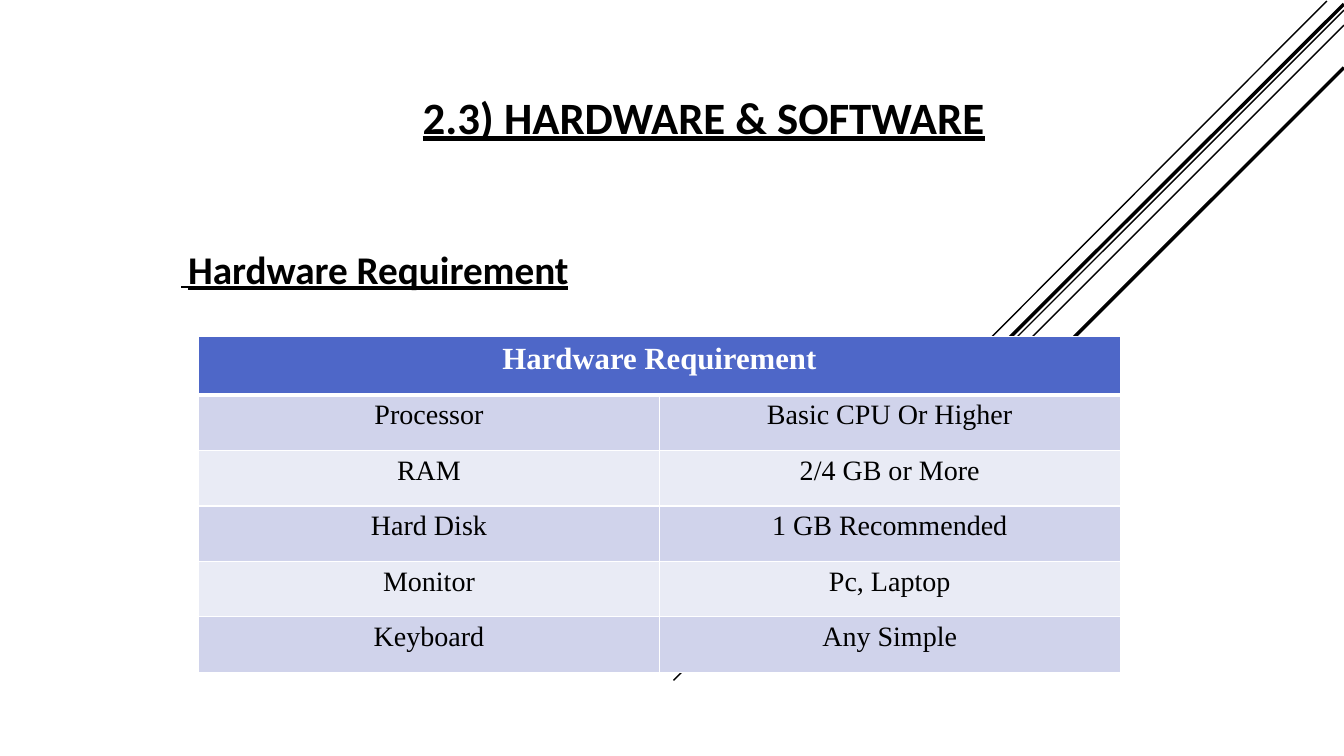
from typing import NamedTuple

from lxml.etree import SubElement
from pptx import Presentation
from pptx.dml.color import RGBColor
from pptx.enum.shapes import MSO_CONNECTOR
from pptx.enum.text import MSO_ANCHOR, MSO_AUTO_SIZE, PP_ALIGN
from pptx.oxml.ns import qn
from pptx.util import Inches, Pt

BLACK, WHITE = "000000", "FFFFFF"
HEADER_FILL = "4E67C8"
BAND_FILLS = ("D0D3EB", "E9EBF5")


class Stripe(NamedTuple):
    x1: float
    y1: float
    x2: float
    y2: float
    width: float


class Box(NamedTuple):
    left: float
    top: float
    width: float
    height: float


class TextStyle(NamedTuple):
    font: str
    size: float
    color: str = BLACK
    bold: bool = False
    underline: bool = False


STRIPES = [
    Stripe(13.16, 0.01, 9, 4.18, 1),
    Stripe(13.33, 0.1, 6.68, 6.75, 1),
    Stripe(13.33, 0.25, 7.91, 5.67, 1),
    Stripe(13.33, 0.04, 8.02, 5.34, 2.5),
    Stripe(13.33, 0.67, 8.58, 5.42, 2.5),
]
REQUIREMENTS = [
    ("Hardware Requirement", ""),
    ("Processor", "Basic CPU Or Higher"),
    ("RAM", "2/4 GB or More"),
    ("Hard Disk", "1 GB Recommended"),
    ("Monitor", "Pc, Laptop"),
    ("Keyboard", "Any Simple"),
]
HEADER_STYLE = TextStyle("Times New Roman", 22, WHITE, bold=True)
BODY_STYLE = TextStyle("Times New Roman", 20)


def rgb(color: str) -> RGBColor:
    return RGBColor.from_string(color)


def style_run(r, style: TextStyle) -> None:
    r.font.name = style.font
    r.font.size = Pt(style.size)
    r.font.bold = style.bold
    r.font.underline = style.underline
    r.font.color.rgb = rgb(style.color)


def draw_stripe(slide, stripe: Stripe) -> None:
    ends = [Inches(v) for v in stripe[:4]]
    line = slide.shapes.add_connector(MSO_CONNECTOR.STRAIGHT, *ends)
    line.line.color.rgb = rgb(BLACK)
    line.line.width = Pt(stripe.width)
    SubElement(line._element.spPr, qn("a:effectLst"))


def fill_placeholder(sp, box: Box, indent: float, align, anchor):
    sp.left, sp.top, sp.width, sp.height = (Inches(v) for v in box)
    tf = sp.text_frame
    tf.word_wrap = True
    tf.auto_size = MSO_AUTO_SIZE.NONE
    tf.vertical_anchor = anchor
    tf.margin_top = tf.margin_bottom = Inches(0.07)
    p = tf.paragraphs[0]
    p.alignment = align
    p.space_before = Pt(0)
    pPr = p._p.get_or_add_pPr()
    pPr.set("marL", str(Inches(indent)))
    pPr.set("indent", "0")
    return p


def set_border(cell, side: str, width: float) -> None:
    ln = SubElement(cell._tc.get_or_add_tcPr(), qn(f"a:ln{side}"), w=str(Pt(width)))
    SubElement(SubElement(ln, qn("a:solidFill")), qn("a:srgbClr"), val=WHITE)


def format_cell(cell, row: int, text: str) -> None:
    thick = {(0, "B"), (1, "T")}
    for side in "LRTB":
        set_border(cell, side, 3 if (row, side) in thick else 1)
    cell.fill.solid()
    cell.fill.fore_color.rgb = rgb(BAND_FILLS[(row - 1) % 2] if row else HEADER_FILL)
    cell.margin_left = cell.margin_right = Inches(0.07)
    cell.margin_top = cell.margin_bottom = 0
    if text:
        cell.text_frame.text = text
        p = cell.text_frame.paragraphs[0]
        p.alignment = PP_ALIGN.CENTER
        p.line_spacing = 1.15
        style_run(p.runs[0], BODY_STYLE if row else HEADER_STYLE)


def add_requirements(slide) -> None:
    frame = slide.shapes.add_table(len(REQUIREMENTS), 2, Inches(1.97), Inches(3.34),
                                   Inches(9.14), Inches(3.33))
    table = frame.table
    for column in table.columns:
        column.width = Inches(4.57)
    for i, texts in enumerate(REQUIREMENTS):
        table.rows[i].height = Inches(0.55 if i else 0.58)
        for j, text in enumerate(texts):
            format_cell(table.cell(i, j), i, text)
    table.cell(0, 0).merge(table.cell(0, 1))


def main() -> None:
    prs = Presentation()
    prs.slide_width, prs.slide_height = Inches(13.33), Inches(7.5)
    slide = prs.slides.add_slide(prs.slide_layouts[0])

    # Diagonal stripes
    for stripe in STRIPES:
        draw_stripe(slide, stripe)

    # Title
    p = fill_placeholder(slide.shapes.title, Box(1.57, 0.46, 10.33, 1.03), 0.49,
                         PP_ALIGN.CENTER, MSO_ANCHOR.BOTTOM)
    p.text = "2.3) HARDWARE & SOFTWARE"
    style_run(p.runs[0], TextStyle("Calibri", 32, bold=True, underline=True))

    # Section heading, with its underlined lead-in space
    p = fill_placeholder(slide.placeholders[1], Box(1.5, 2.36, 10.33, 4.84), 0.2,
                         PP_ALIGN.LEFT, MSO_ANCHOR.TOP)
    for text, size, bold in ((" ", 21, False), ("Hardware Requirement", 28, True)):
        r = p.add_run()
        r.text = text
        style_run(r, TextStyle("Calibri", size, bold=bold, underline=True))

    # Requirements table
    add_requirements(slide)

    prs.save("out.pptx")


if __name__ == "__main__":
    main()
